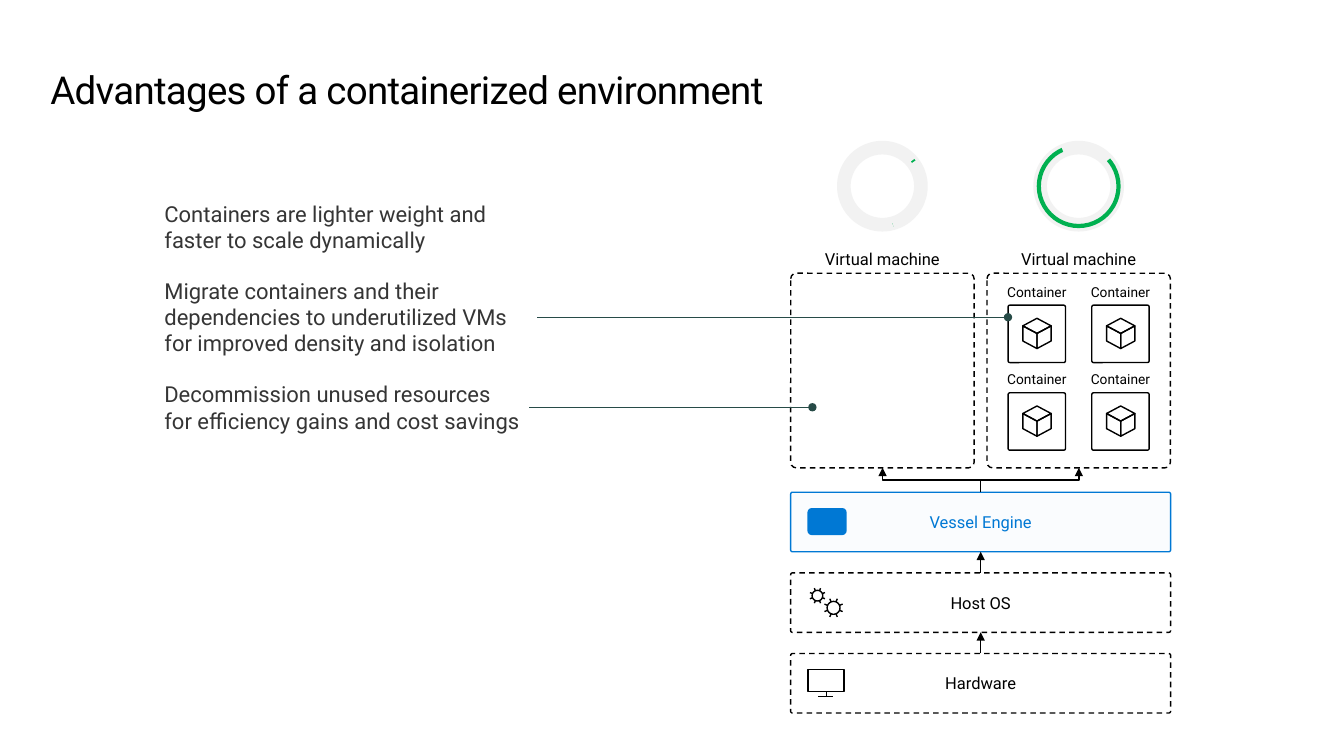
"""Builds a slide on the advantages of a containerized environment."""
from math import cos, radians, sin

from lxml import etree
from pptx import Presentation
from pptx.dml.color import RGBColor
from pptx.enum import dml, shapes, text
from pptx.oxml import ns
from pptx.util import Pt

COLORS = {"black": "000000", "body": "353535", "engine": "0078D4",
          "track": "F2F2F2", "used": "00B050", "callout": "274B47"}
FONT = "Roboto"
TITLE = "Advantages of a containerized environment"
POINTS = [
    ("Containers are lighter weight and \vfaster to scale dynamically", 143.3, 42.5, 260.6),
    ("Migrate containers and their dependencies to underutilized VMs "
     "for improved density and isolation", 198, 66.2, 257.8),
    ("Decommission unused resources \vfor efficiency gains and cost savings", 272, 40.3, 262.1),
]
LAYERS = [("Vessel Engine", "engine", False), ("Host OS", "black", True),
          ("Hardware", "black", True)]
GAUGES = [
    [(191.69, 44.86, "used", 3), (193.32, 44.86, "track", 4.5)],
    [(191.11, 7.1, "used", 3), (6.78, 187.54, "used", 3), (147.65, 188.32, "track", 4.5)],
]
CALLOUTS = [(383.8, 720, 226.6), (378, 580.3, 290.9)]

LEFT, LAYER_W, LAYER_H, LAYER_TOP, LAYER_STEP = 564.8, 271.4, 42.5, 351.6, 57.6
VM_W, VM_H, VM_TOP, VM_STEP = 131, 139, 195.2, 140.2
BOX, BOX_LEFT, BOX_TOP, BOX_DX, BOX_DY = 41, 720.1, 218, 59.8, 62.6
GAUGE, ARC, GAUGE_MID = 64.8, 56.9, 133
GEARS = [(583.9, 425.5, 3.8, 5.8), (595.4, 434.2, 4.6, 7)]
CUBE = [[(20.2, 5.4), (20.2, 16.2), (10.1, 21.6), (10.1, 10.8), (20.2, 5.4)],
        [(0, 5.4), (10.1, 10.8), (10.1, 21.6), (0, 16.2), (0, 5.4)],
        [(10.1, 0), (20.2, 5.4), (10.1, 10.8), (0, 5.4), (10.1, 0)]]
MONITOR = [[(0, 0), (25.6, 0), (25.6, 16), (0, 16), (0, 0)],
           [(13, 16), (13, 19.6)], [(7.4, 19.6), (18.2, 19.6)]]

prs = Presentation()
prs.slide_width, prs.slide_height = Pt(960), Pt(540)
slide = prs.slides.add_slide(prs.slide_layouts[6])


def rgb(name):
    return RGBColor.from_string(COLORS[name])


def write(sp, txt, size=11.8, color="black", align="CENTER", anchor="MIDDLE",
          inset=(0, 0), spacing=None):
    tf = sp.text_frame
    tf.word_wrap = True
    tf.vertical_anchor = getattr(text.MSO_ANCHOR, anchor)
    tf.margin_left = tf.margin_right = Pt(inset[0])
    tf.margin_top = tf.margin_bottom = Pt(inset[1])
    p = tf.paragraphs[0]
    p.text = txt
    p.alignment = getattr(text.PP_ALIGN, align)
    for r in p.runs:
        r.font.size, r.font.name = Pt(size), FONT
        r.font.color.rgb = rgb(color)
        if spacing:
            r.font._element.set("spc", str(spacing))


def textbox(x, y, w, h, txt, **fmt):
    write(slide.shapes.add_textbox(Pt(x), Pt(y), Pt(w), Pt(h)), txt, **fmt)


def paint(sp, fill=None, line=None, width=1.0, dash=False):
    sp.shadow.inherit = False
    if fill:
        sp.fill.solid()
        sp.fill.fore_color.rgb = rgb(fill)
    else:
        sp.fill.background()
    if line:
        sp.line.color.rgb, sp.line.width = rgb(line), Pt(width)
        if dash:
            sp.line.dash_style = dml.MSO_LINE.DASH
    else:
        sp.line.fill.background()


def shape(kind, x, y, w, h, adj=(), **style):
    sp = slide.shapes.add_shape(getattr(shapes.MSO_SHAPE, kind), Pt(x), Pt(y), Pt(w), Pt(h))
    for i, value in enumerate(adj):
        sp.adjustments[i] = value
    paint(sp, **style)
    return sp


def outline(strokes, x=0, y=0):
    strokes = [[(Pt(x + a), Pt(y + b)) for a, b in s] for s in strokes]
    fb = slide.shapes.build_freeform(*strokes[0][0])
    fb.add_line_segments(strokes[0][1:], close=False)
    for s in strokes[1:]:
        fb.move_to(*s[0])
        fb.add_line_segments(s[1:], close=False)
    paint(fb.convert_to_shape(), line="black")


def connector(x1, y1, x2, y2, kind="STRAIGHT", color="black", width=1.0, tail="triangle"):
    c = slide.shapes.add_connector(getattr(shapes.MSO_CONNECTOR, kind),
                                   Pt(x1), Pt(y1), Pt(x2), Pt(y2))
    c.line.color.rgb, c.line.width = rgb(color), Pt(width)
    etree.SubElement(c.line._get_or_add_ln(), ns.qn("a:tailEnd"), type=tail)
    etree.SubElement(c._element.spPr, ns.qn("a:effectLst"))
    return c


def polar(cx, cy, radius, angle):
    return cx + radius * cos(radians(angle)), cy + radius * sin(radians(angle))


def gear(cx, cy, inner, outer):
    rim = [polar(cx, cy, inner, a) for a in range(0, 361, 15)]
    return [rim] + [[polar(cx, cy, inner, a + 22.5), polar(cx, cy, outer, a + 22.5)]
                    for a in range(0, 360, 45)]


def draw_machines():
    for i, arcs in enumerate(GAUGES):
        x = LEFT + i * VM_STEP
        mid = x + VM_W / 2
        shape("ROUNDED_RECTANGLE", x, VM_TOP, VM_W, VM_H, [0.03], line="black", dash=True)
        textbox(mid - 44.3, 177.4, 88.6, 14.4, "Virtual machine", anchor="BOTTOM")
        shape("DONUT", mid - GAUGE / 2, GAUGE_MID - GAUGE / 2, GAUGE, GAUGE, [0.15],
              fill="track")
        for start, end, color, width in arcs:
            shape("ARC", mid - ARC / 2, GAUGE_MID - ARC / 2, ARC, ARC, [start, end],
                  line=color, width=width)
    for i in range(4):
        x, y = BOX_LEFT + i % 2 * BOX_DX, BOX_TOP + i // 2 * BOX_DY
        textbox(x - 7.2, y - 15.2, 55.4, 11.5, "Container", size=9.8, anchor="BOTTOM")
        shape("ROUNDED_RECTANGLE", x, y, BOX, BOX, [0.03], line="black")
        outline(CUBE, x + 10.5, y + 9.4)


def draw_layers():
    above = None
    for i, (name, color, dash) in enumerate(LAYERS):
        y = LAYER_TOP + i * LAYER_STEP
        sp = shape("ROUNDED_RECTANGLE", LEFT, y, LAYER_W, LAYER_H, [0.03],
                   fill=None if dash else color, line=color, dash=dash)
        write(sp, name, color=color, inset=(14.4, 11.5))
        if above is None:
            tint = sp._element.spPr.find(".//" + ns.qn("a:srgbClr"))
            etree.SubElement(tint, ns.qn("a:alpha"), val="2000")
        else:
            c = connector(0, 0, 0, 0)
            c.begin_connect(sp, 0)
            c.end_connect(above, 2)
        above = sp
    shape("ROUNDED_RECTANGLE", 576.7, 362.9, 28.1, 19.4, fill="engine")
    outline(gear(*GEARS[0]) + gear(*GEARS[1]))
    outline(MONITOR, 577.2, 478.1)


def draw_branches():
    bottom = VM_TOP + VM_H
    half_rise, half_run = (LAYER_TOP - bottom) / 2, VM_STEP / 4
    center, cy = LEFT + LAYER_W / 2, bottom + half_rise
    for side, rot in ((-1, 270), (1, 90)):
        cx = center + side * half_run
        c = connector(cx + side * half_rise, cy + half_run,
                      cx - side * half_rise, cy - half_run, kind="ELBOW")
        c._element.spPr.find(ns.qn("a:xfrm")).set("rot", str(rot * 60000))


def main():
    textbox(36, 47.5, 547.2, 33.1, TITLE, size=27.5, align="LEFT", anchor="TOP", spacing=-50)
    draw_machines()
    draw_layers()
    draw_branches()
    for x1, x2, y in CALLOUTS:
        connector(x1, y, x2, y, color="callout", width=0.75, tail="oval")
    for txt, y, h, w in POINTS:
        textbox(117.4, y, w, h, txt, size=15.7, color="body", align="LEFT", anchor="TOP")
    prs.save("out.pptx")


if __name__ == "__main__":
    main()
